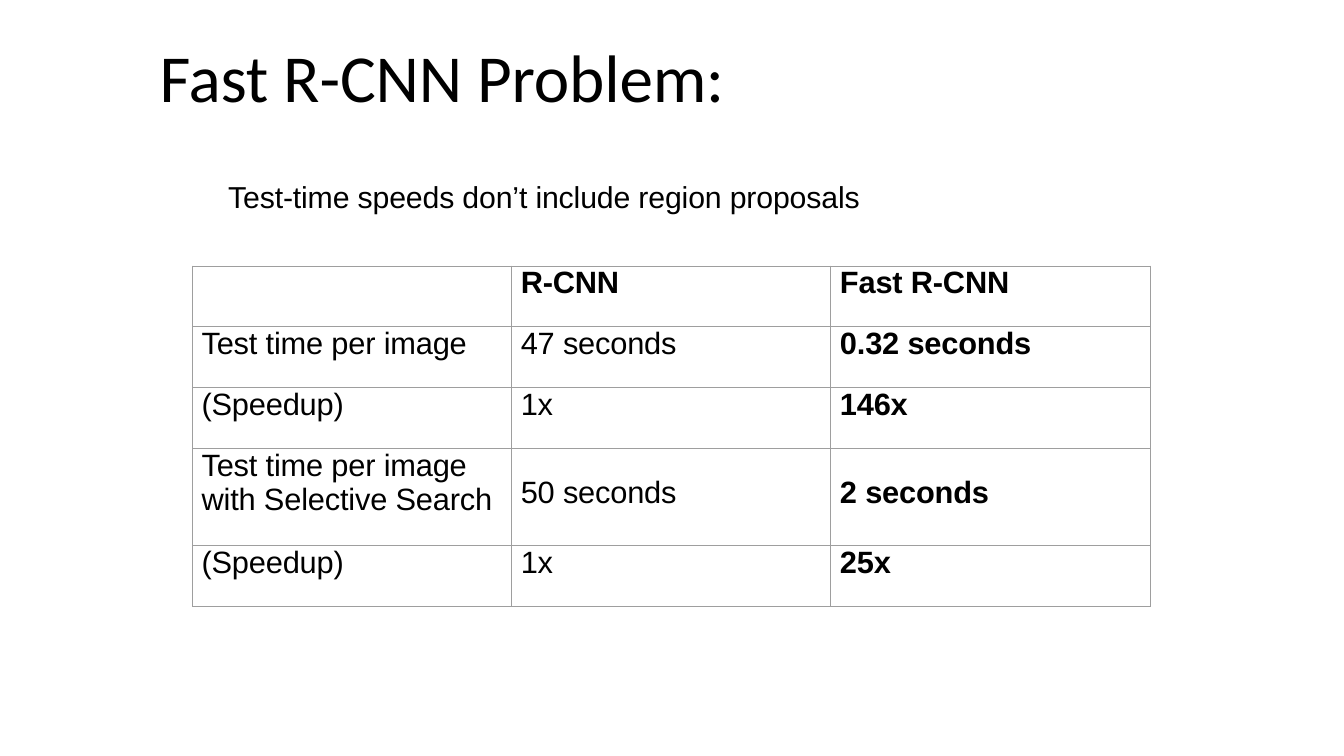
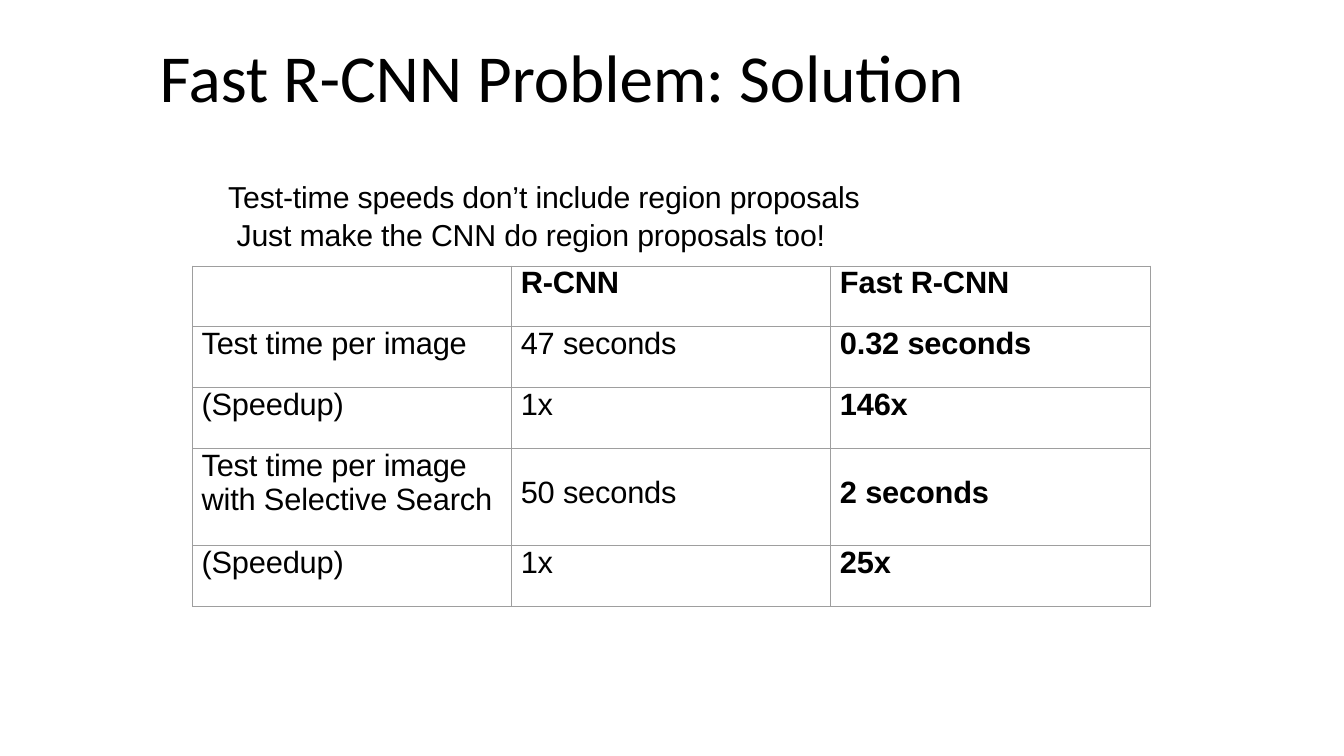
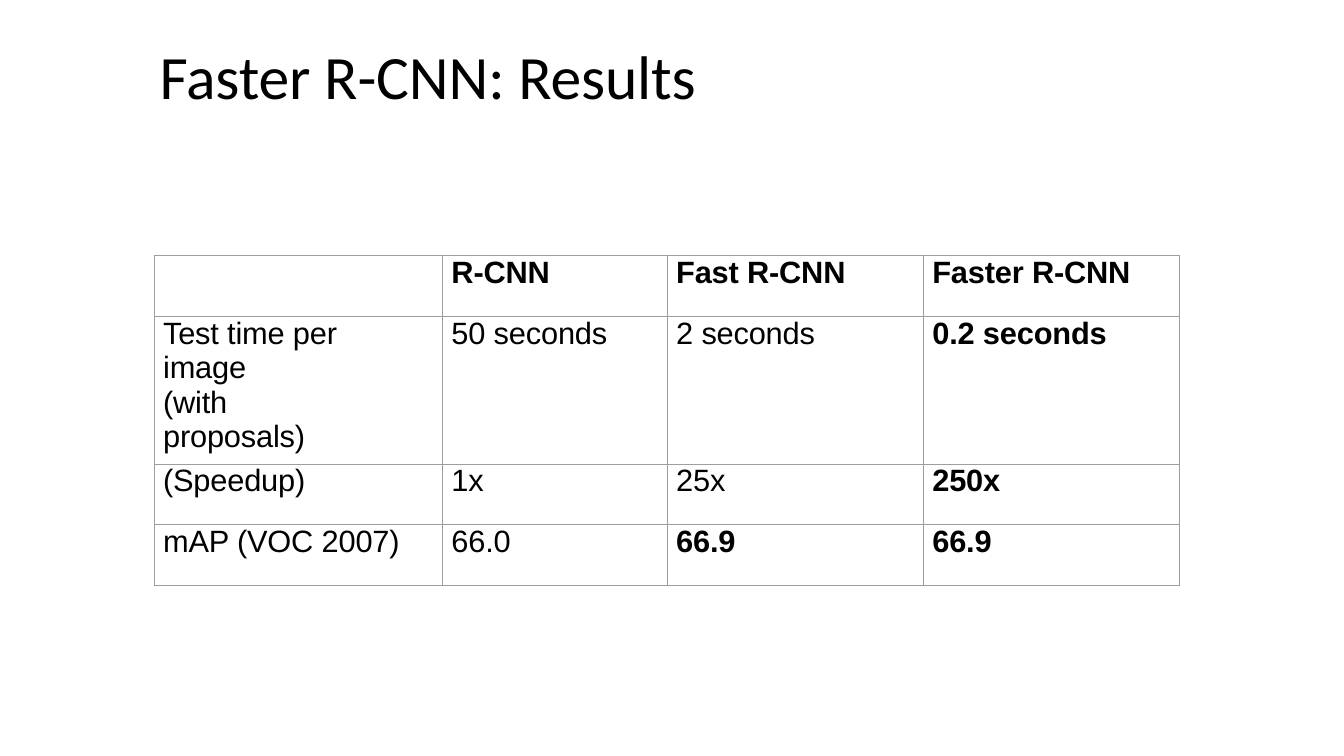
from lxml.etree import SubElement
from pptx import Presentation
from pptx.dml.color import RGBColor
from pptx.enum.text import MSO_ANCHOR as Anchor, MSO_AUTO_SIZE as AutoSize, PP_ALIGN as Align
from pptx.oxml.ns import qn
from pptx.util import Pt

COLORS = {"text": "000000", "border": "9E9E9E"}
TITLE_FONT, BODY_FONT = "Calibri", "Arial"
TITLE_BOX = (112.5, 21, 781, 65.5)
CAPTION_BOX = (161.5, 127, 461, 51)
ROW_HEIGHT = 43.5
CAPTION = "Test-time speeds don’t include region proposals"

SPEED_ROWS = [
    ["", "R-CNN", "Fast R-CNN"],
    ["Test time per image", "47 seconds", "0.32 seconds"],
    ["(Speedup)", "1x", "146x"],
    ["Test time per image with Selective Search", "50 seconds", "2 seconds"],
    ["(Speedup)", "1x", "25x"],
]
RESULT_ROWS = [
    ["", "R-CNN", "Fast R-CNN", "Faster R-CNN"],
    ["Test time per image\n(with proposals)", "50 seconds", "2 seconds", "0.2 seconds"],
    ["(Speedup)", "1x", "25x", "250x"],
    ["mAP (VOC 2007)", "66.0", "66.9", "66.9"],
]


def style_text(frame, font_name, size, bold=False):
    """Format every paragraph alike, with slightly tightened letters."""
    for paragraph in frame.paragraphs:
        paragraph.alignment = Align.LEFT
        font = paragraph.font
        font.name, font.size, font.bold = font_name, Pt(size), bold
        font.color.rgb = RGBColor.from_string(COLORS["text"])
        for run in paragraph.runs:
            run.font._element.set("spc", "-10") if hasattr(run.font, "_element") else \
                run._r.get_or_add_rPr().set("spc", "-10")


def set_margins(target, left=0, top=0, right=0):
    target.margin_left, target.margin_top = Pt(left), Pt(top)
    target.margin_right, target.margin_bottom = Pt(right), Pt(0)


def add_titled_slide(presentation, text, size=48):
    slide = presentation.slides.add_slide(presentation.slide_layouts[5])
    title = slide.shapes.title
    title.left, title.top, title.width, title.height = map(Pt, TITLE_BOX)
    frame = title.text_frame
    frame.text = text
    frame.auto_size = AutoSize.NONE
    frame.vertical_anchor = Anchor.MIDDLE
    set_margins(frame, left=1.5)
    style_text(frame, TITLE_FONT, size)
    return slide


def add_caption(slide, box, lines):
    frame = slide.shapes.add_textbox(*map(Pt, box)).text_frame
    frame.word_wrap = True
    frame.text = "\n".join(lines)
    set_margins(frame, left=1.5)
    style_text(frame, BODY_FONT, 21.6)
    for paragraph in frame.paragraphs[1:]:
        paragraph.space_before = Pt(1.5)
        paragraph._p.get_or_add_pPr().set("marL", str(Pt(6)))


def set_borders(cell):
    properties = cell._tc.get_or_add_tcPr()
    for side in ("lnL", "lnR", "lnT", "lnB"):
        line = SubElement(properties, qn(f"a:{side}"), w=str(Pt(0.75)))
        fill = SubElement(line, qn("a:solidFill"))
        SubElement(fill, qn("a:srgbClr"), val=COLORS["border"])


def add_table(slide, left, top, widths, rows, tall_row, tall_height, extra_bold=()):
    """Draw a grid whose header and last column are bold; return the table."""
    heights = [tall_height if index == tall_row else ROW_HEIGHT for index in range(len(rows))]
    box = map(Pt, (left, top, sum(widths), sum(heights)))
    table = slide.shapes.add_table(len(rows), len(widths), *box).table
    table.first_row = table.horz_banding = False
    for column, width in zip(table.columns, widths):
        column.width = Pt(width)
    for row, height in zip(table.rows, heights):
        row.height = Pt(height)
    for row_index, texts in enumerate(rows):
        for column_index, text in enumerate(texts):
            cell = table.cell(row_index, column_index)
            cell.text = text
            set_margins(cell, left=6.5)
            set_borders(cell)
            cell.fill.background()
            bold = (row_index == 0 or column_index == len(widths) - 1
                    or (row_index, column_index) in extra_bold)
            style_text(cell.text_frame, BODY_FONT, 22, bold)
    return table


def add_problem_slide(presentation, title, caption_lines):
    slide = add_titled_slide(presentation, title)
    table = add_table(slide, 137.5, 190, [228] * 3, SPEED_ROWS, 3, 69)
    for column in (1, 2):
        table.cell(3, column).margin_top = Pt(19.5)
    add_caption(slide, CAPTION_BOX, caption_lines)


def add_results_slide(presentation):
    slide = add_titled_slide(presentation, "Faster R-CNN: Results", 44)
    table = add_table(slide, 110, 182.5, [206, 160.5, 183, 183], RESULT_ROWS, 1, 105.5,
                      extra_bold={(3, 2)})
    table.cell(1, 0).margin_right = Pt(60)


def main():
    presentation = Presentation()
    presentation.slide_width, presentation.slide_height = Pt(960), Pt(540)
    add_problem_slide(presentation, "Fast R-CNN Problem:", [CAPTION])
    add_problem_slide(presentation, "Fast R-CNN Problem: Solution",
                      [CAPTION, "Just make the CNN do region proposals too!"])
    add_results_slide(presentation)
    presentation.save("out.pptx")


if __name__ == "__main__":
    main()
